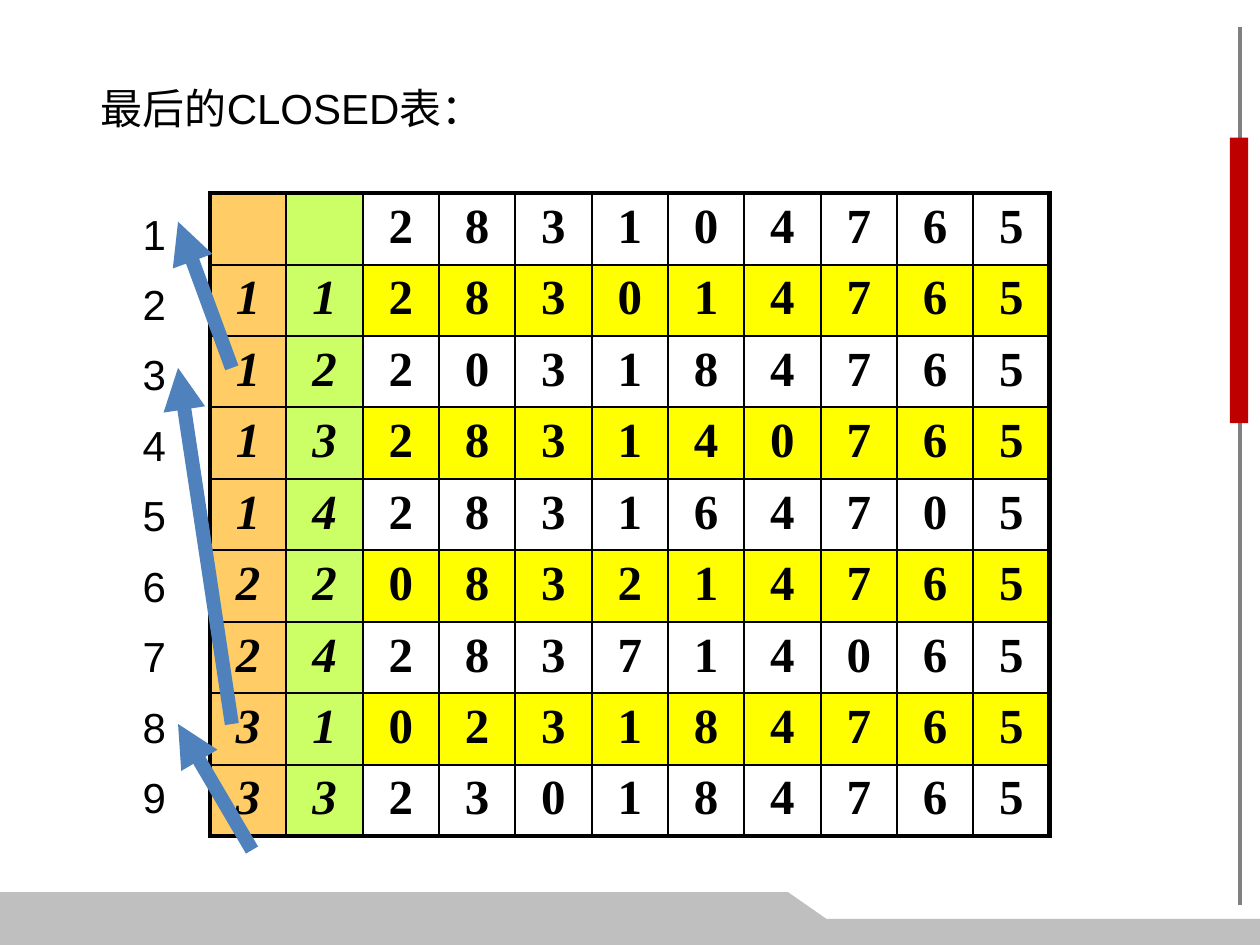
from dataclasses import dataclass
from lxml.etree import SubElement
from pptx import Presentation
from pptx.dml.color import RGBColor
from pptx.enum.shapes import MSO_CONNECTOR as Connector, MSO_SHAPE as Preset
from pptx.enum.text import MSO_ANCHOR as Anchor, MSO_AUTO_SIZE as AutoSize, PP_ALIGN as Align
from pptx.oxml.ns import qn
from pptx.util import Inches, Pt

TITLE = "最后的CLOSED表："
PARENTS = ["", "1", "1", "1", "1", "2", "2", "3", "3"]
MOVES = ["", "1", "2", "3", "4", "2", "4", "1", "3"]
STATES = [
    "283104765",
    "283014765",
    "203184765",
    "283140765",
    "283164705",
    "083214765",
    "283714065",
    "023184765",
    "230184765",
]
ARROWS = [
    ((1.5, 5.06), (1.06, 4.31)),
    ((1.38, 4.31), (1.06, 2.19)),
    ((1.38, 2.19), (1.06, 1.32)),
]
FOOTER = [(0, 5.31), (4.69, 5.31), (4.92, 5.47), (7.5, 5.47), (7.5, 5.63), (0, 5.63)]
TABLE = (1.25, 1.15, 5, 3.83)


@dataclass(frozen=True)
class Theme:
    text: str = "000000"
    border: str = "000000"
    parent: str = "FFCC66"
    move: str = "CCFF66"
    odd: str = "FFFFFF"
    even: str = "FFFF00"
    arrow: str = "4F81BD"
    rule: str = "808080"
    marker: str = "BF0000"
    footer: str = "BFBFBF"
    sans: str = "Arial"
    serif: str = "Times New Roman"
    label_size: float = 18
    cell_size: float = 21
    label_pitch: float = 30.2
    thin: float = 1
    thick: float = 2.25


theme = Theme()


def color(value):
    return RGBColor.from_string(value)


def add_run(paragraph, text, font_name, size, bold=False, italic=False):
    run = paragraph.add_run()
    run.text = text
    font = run.font
    font.name, font.size, font.bold, font.italic = font_name, Pt(size), bold, italic
    font.color.rgb = color(theme.text)


def paint(shape, fill):
    shape.fill.solid()
    shape.fill.fore_color.rgb = color(fill)
    shape.line.fill.background()
    shape.shadow.inherit = False


def add_line(slide, start, end, line_color, width, arrow=False):
    points = [Inches(value) for value in (*start, *end)]
    connector = slide.shapes.add_connector(Connector.STRAIGHT, *points)
    connector.line.color.rgb = color(line_color)
    connector.line.width = Pt(width)
    properties = connector._element.spPr
    if arrow:
        SubElement(properties.find(qn("a:ln")), qn("a:tailEnd"), type="triangle")
    SubElement(properties, qn("a:effectLst"))


def set_borders(cell, widths):
    properties = cell._tc.get_or_add_tcPr()
    for index, (side, width) in enumerate(widths.items()):
        line = properties.makeelement(qn(f"a:ln{side}"), {"w": str(Pt(width))})
        fill = SubElement(line, qn("a:solidFill"))
        SubElement(fill, qn("a:srgbClr"), val=theme.border)
        properties.insert(index, line)


def add_decoration(slide):
    add_line(slide, (7.38, 0.16), (7.38, 5.39), theme.rule, 1.5)
    corners = [(Inches(x), Inches(y)) for x, y in FOOTER]
    builder = slide.shapes.build_freeform(*corners[0])
    builder.add_line_segments(corners[1:], close=True)
    paint(builder.convert_to_shape(), theme.footer)
    marker_box = [Inches(value) for value in (7.32, 0.82, 0.11, 1.7)]
    paint(slide.shapes.add_shape(Preset.RECTANGLE, *marker_box), theme.marker)


def add_title(slide):
    title = slide.shapes.title
    title.left, title.top, title.width, title.height = map(Inches, (0.5, 0.44, 4.38, 0.4))
    frame = title.text_frame
    frame.auto_size = AutoSize.NONE
    frame.vertical_anchor = Anchor.MIDDLE
    paragraph = frame.paragraphs[0]
    paragraph.alignment = Align.LEFT
    add_run(paragraph, TITLE, theme.sans, theme.label_size)


def add_closed_table(slide):
    rows = [(parent, move, *state) for parent, move, state in zip(PARENTS, MOVES, STATES)]
    row_count, column_count = len(rows), len(rows[0])
    box = [Inches(value) for value in TABLE]
    table = slide.shapes.add_table(row_count, column_count, *box).table
    table.first_row = table.horz_banding = False
    for column in table.columns:
        column.width = box[2] // column_count
    for row in table.rows:
        row.height = box[3] // row_count

    for row_index, values in enumerate(rows):
        state_fill = theme.even if row_index % 2 else theme.odd
        fills = [theme.parent, theme.move] + [state_fill] * (column_count - 2)
        for column_index, value in enumerate(values):
            cell = table.cell(row_index, column_index)
            cell.margin_left = cell.margin_right = Inches(0.07)
            cell.margin_top = cell.margin_bottom = Inches(0.04)
            cell.fill.solid()
            cell.fill.fore_color.rgb = color(fills[column_index])
            outer = {
                "L": column_index == 0,
                "R": column_index == column_count - 1,
                "T": row_index == 0,
                "B": row_index == row_count - 1,
            }
            set_borders(cell, {side: theme.thick if edge else theme.thin for side, edge in outer.items()})
            if value:
                paragraph = cell.text_frame.paragraphs[0]
                paragraph.alignment = Align.CENTER
                add_run(paragraph, value, theme.serif, theme.cell_size, True, column_index < 2)


def add_row_numbers(slide):
    box = [Inches(value) for value in (0.75, 1.07, 0.38, 3.87)]
    frame = slide.shapes.add_textbox(*box).text_frame
    frame.word_wrap = True
    for number in range(1, len(STATES) + 1):
        paragraph = frame.paragraphs[0] if number == 1 else frame.add_paragraph()
        paragraph.line_spacing = Pt(theme.label_pitch)
        add_run(paragraph, str(number), theme.sans, theme.label_size)


def main():
    presentation = Presentation()
    presentation.slide_width = Inches(7.5)
    presentation.slide_height = presentation.slide_width * 3 // 4
    slide = presentation.slides.add_slide(presentation.slide_layouts[5])
    add_decoration(slide)
    add_title(slide)
    add_closed_table(slide)
    add_row_numbers(slide)
    for start, end in ARROWS:
        add_line(slide, start, end, theme.arrow, 6, arrow=True)
    presentation.save("out.pptx")


if __name__ == "__main__":
    main()
